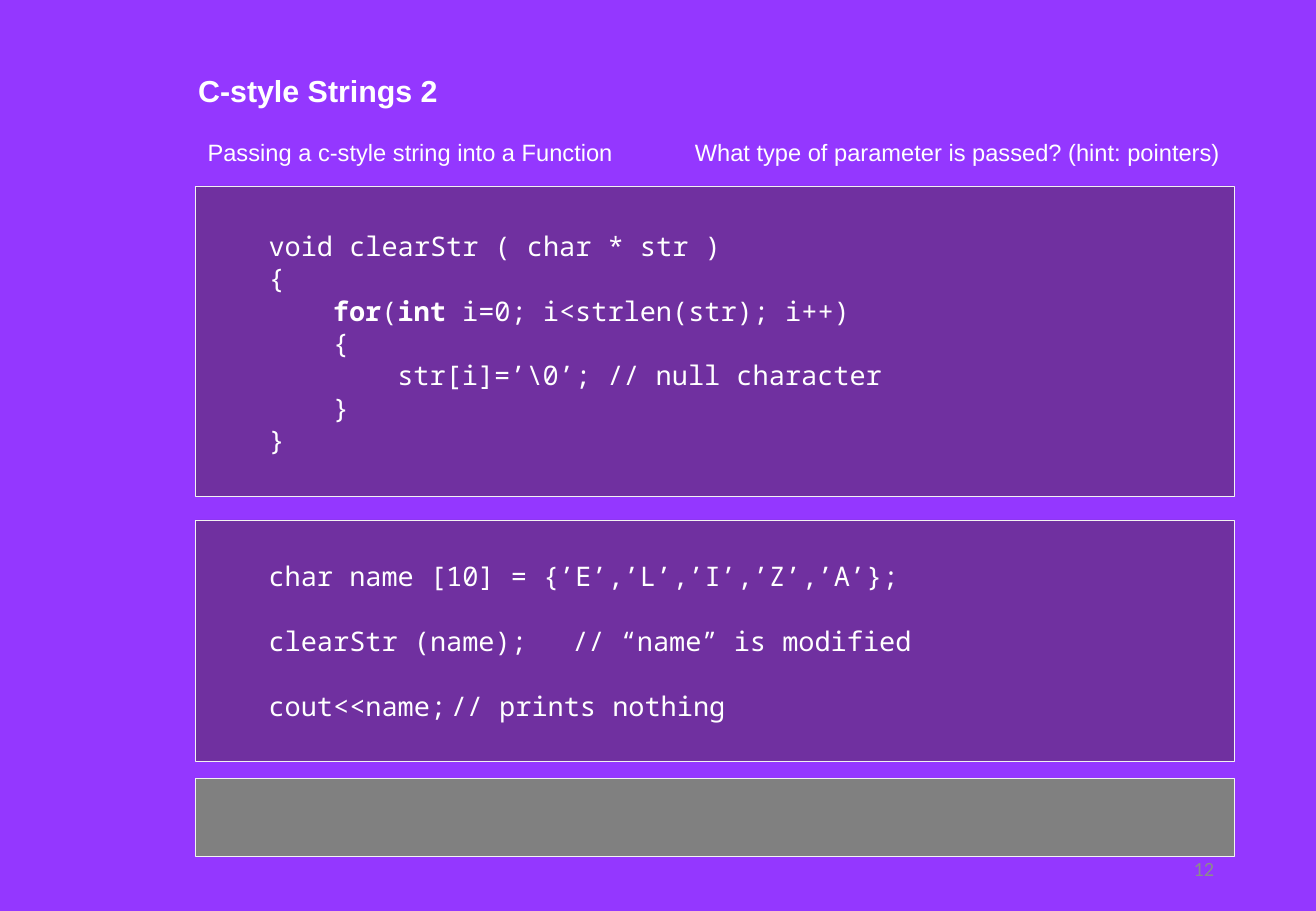
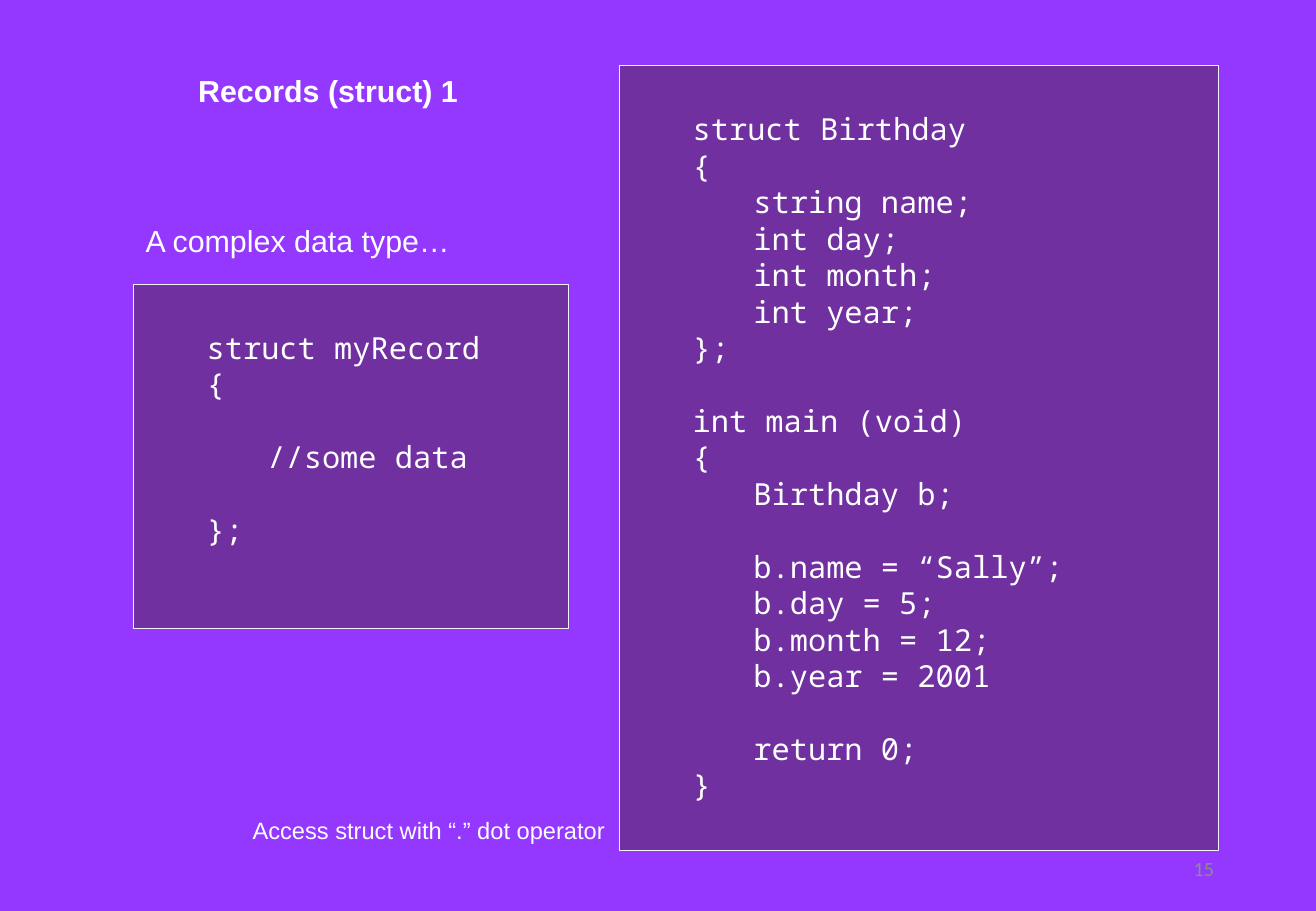
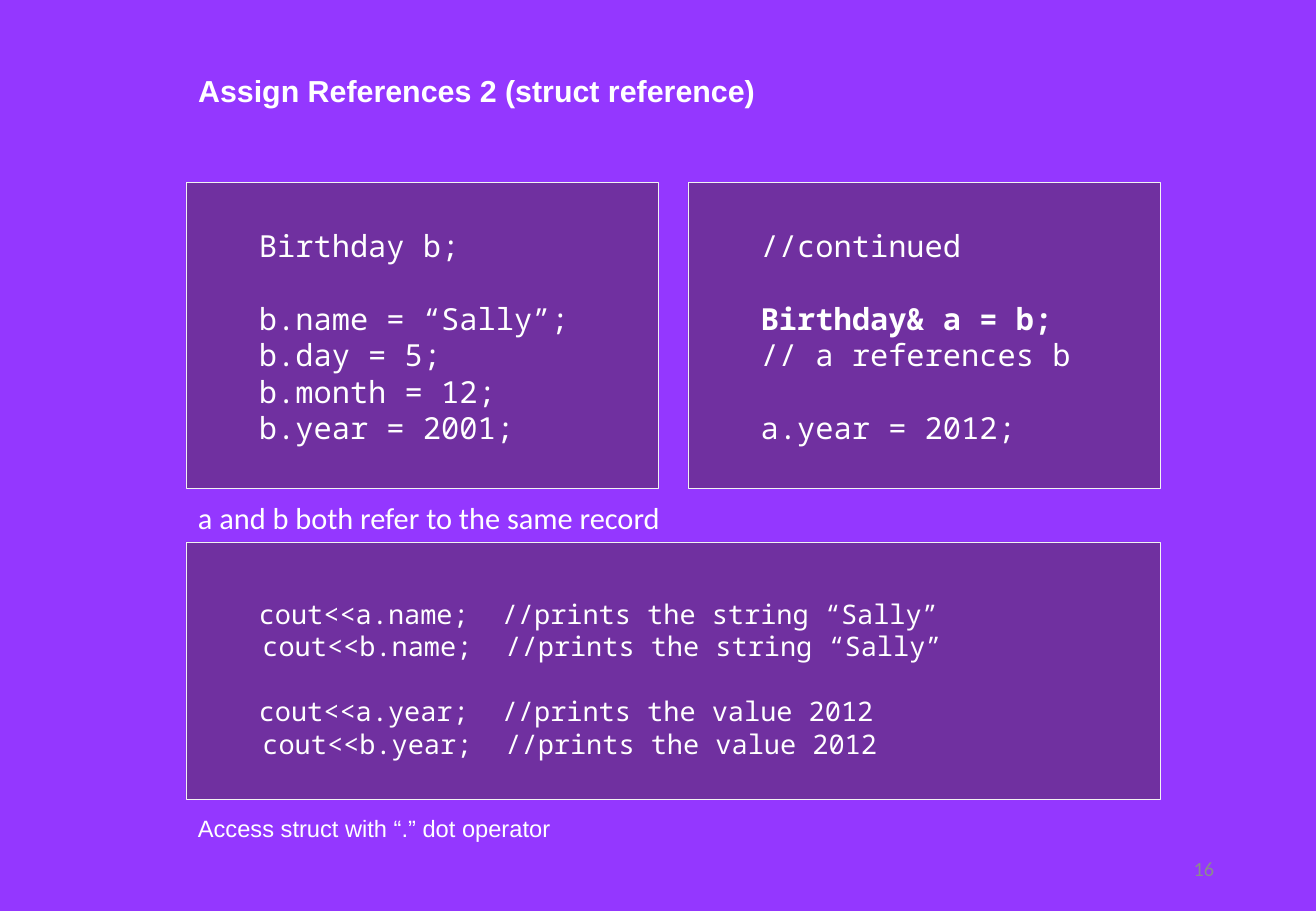
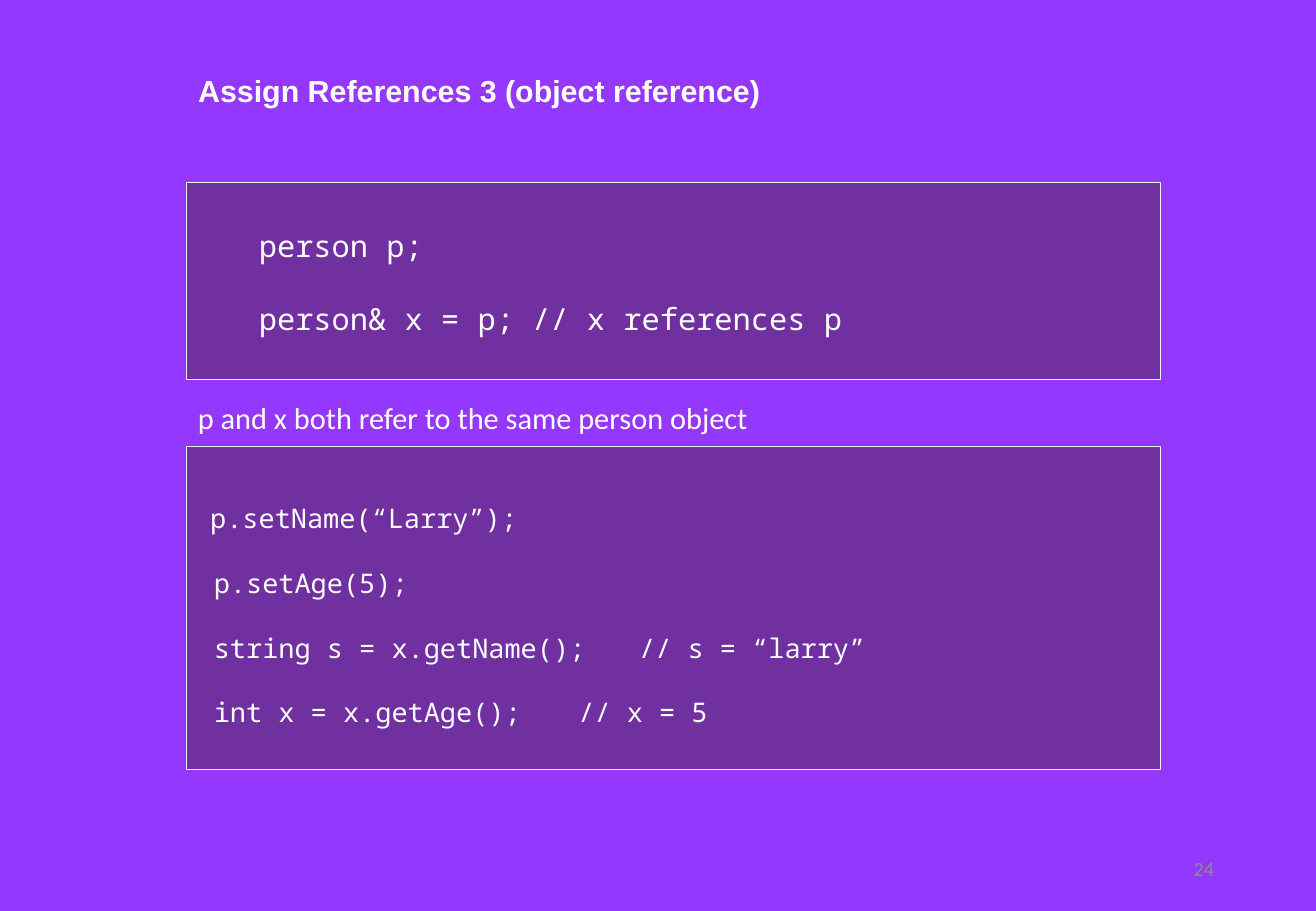
import dataclasses

import pptx
import pptx.dml.color
import pptx.enum.shapes
import pptx.enum.text
import pptx.oxml
import pptx.oxml.ns
import pptx.util


@dataclasses.dataclass(frozen=True)
class Theme:
    background: str = "9437FF"
    panel: str = "7030A0"
    bar: str = "808080"
    outline: str = "F2F2F2"
    text: str = "FFFFFF"
    number: str = "8C8C8C"
    sans: str = "Arial"
    plain: str = "Calibri"
    code: str = "Noto Sans Mono"
    large: int = 18
    medium: int = 16
    small: int = 14
    tiny: int = 12
    outline_width: float = 0.25
    code_leading: float = 1.2


theme = Theme()
color = pptx.dml.color.RGBColor.from_string
align = pptx.enum.text.PP_ALIGN
anchor = pptx.enum.text.MSO_ANCHOR

deck = pptx.Presentation()
deck.slide_width = pptx.util.Inches(10.83)
deck.slide_height = pptx.util.Inches(7.5)


def place(left, top, width, height):
    across, down = deck.slide_width / 100, deck.slide_height / 100
    return [round(share) for share in (left * across, top * down, width * across, height * down)]


def write(para, text, font, size, tint=theme.text, bold=False, alignment=align.LEFT):
    para.alignment = alignment
    for index, piece in enumerate(text.split("**")):
        if piece:
            span = para.add_run()
            span.text = piece
            span.font.name = font
            span.font.size = pptx.util.Pt(size)
            span.font.bold = bold or index % 2 == 1
            span.font.color.rgb = color(tint)


EDGE, WIDE = 14.13, 74.05
GAP = 2.21
HALF = (WIDE - GAP) / 2
INNER, INNER_WIDE = 14.87, 78.95
TITLE_ROW, PANEL_ROW = 7.2, 20
LINE = 5.33
CAPTION_WIDE = 52

deck.slide_master.background.fill.solid()
deck.slide_master.background.fill.fore_color.rgb = color(theme.background)
layout = deck.slide_layouts[5]
heading = layout.placeholders[0]
heading.left, heading.top, heading.width, heading.height = place(EDGE, TITLE_ROW, 60, LINE)
heading.text_frame.auto_size = pptx.enum.text.MSO_AUTO_SIZE.NONE
heading.text_frame.vertical_anchor = anchor.TOP

birthday = [
    (0, "b.name = “Sally”;"),
    (0, "b.day = 5;"),
    (0, "b.month = 12;"),
]
dot_operator = "Access struct with “.” dot operator"

# Panel: place, type size, insets (left, top), indent step, tab stop, lines.
# Line: blank lines before it, indent level, text.
pages = [
    dict(
        title="C-style Strings 2",
        number="12",
        captions=[
            (INNER, 14.53, theme.sans, theme.small, "Passing a c-style string into a Function"),
            (51.89, 14.53, theme.sans, theme.small, "What type of parameter is passed? (hint: pointers)"),
        ],
        panels=[
            ((INNER, 20.4, INNER_WIDE, 34.13), theme.medium, (0.6, 0.36), 0.53, None, [
                (0, 0, "void clearStr ( char * str )"),
                (0, 0, "{"),
                (0, 1, "**for**(**int **i=0; i<strlen(str); i++)"),
                (0, 1, "{"),
                (0, 2, "str[i]=’\\0’; // null character"),
                (0, 1, "}"),
                (0, 0, "}"),
            ]),
            ((INNER, 57.07, INNER_WIDE, 26.53), theme.medium, (0.6, 0.33), 0, 3, [
                (0, 0, "char name [10] = {’E’,’L’,’I’,’Z’,’A’};"),
                (1, 0, "clearStr (name);\t// “name” is modified"),
                (1, 0, "cout<<name;\t// prints nothing"),
            ]),
            ((INNER, 85.47, INNER_WIDE, 8.53), theme.medium, (0.1, 0.05), 0, None, []),
        ],
    ),
    dict(
        title="Records (struct) 1",
        number="15",
        captions=[
            (10.16, 23.73, theme.sans, theme.large, "A complex data type…"),
            (18.28, 88.93, theme.sans, theme.small, dot_operator),
        ],
        panels=[
            ((47.09, TITLE_ROW, 45.52, 86.13), theme.large, (0.6, 0.37), 0.5, None, [
                (0, 0, "struct Birthday"),
                (0, 0, "{"),
                (0, 1, "string name;"),
                (0, 1, "int day;"),
                (0, 1, "int month;"),
                (0, 1, "int year;"),
                (0, 0, "};"),
                (1, 0, "int main (void)"),
                (0, 0, "{"),
                (0, 1, "Birthday b;"),
                (1, 1, birthday[0][1]),
                *[(blank, 1, text) for blank, text in birthday[1:]],
                (0, 1, "b.year = 2001"),
                (1, 1, "return 0;"),
                (0, 0, "}"),
            ]),
            ((10.16, 31.2, 33.06, 37.73), theme.large, (0.6, 0.37), 0.5, None, [
                (0, 0, "struct myRecord"),
                (0, 0, "{"),
                (1, 1, "//some data"),
                (1, 0, "};"),
            ]),
        ],
    ),
    dict(
        title="Assign References 2 (struct reference)",
        number="16",
        captions=[
            (EDGE, 54.13, theme.plain, theme.large, "a and b both refer to the same record"),
            (EDGE, 88.67, theme.sans, theme.small, dot_operator),
        ],
        panels=[
            ((EDGE, PANEL_ROW, HALF, 33.6), theme.large, (0.6, 0.37), 0, None, [
                (0, 0, "Birthday b;"),
                (1, 0, birthday[0][1]),
                *[(blank, 0, text) for blank, text in birthday[1:]],
                (0, 0, "b.year = 2001;"),
            ]),
            ((EDGE + HALF + GAP, PANEL_ROW, HALF, 33.6), theme.large, (0.6, 0.37), 0, None, [
                (0, 0, "//continued"),
                (1, 0, "**Birthday& a = b;**"),
                (0, 0, "// a references b"),
                (1, 0, "a.year = 2012;"),
            ]),
            ((EDGE, 59.47, WIDE, 28.27), theme.medium, (0.6, 0.46), 0.03, 2.26, [
                (0, 0, "cout<<a.name;\t//prints the string “Sally”"),
                (0, 1, "cout<<b.name;\t//prints the string “Sally”"),
                (1, 0, "cout<<a.year;\t//prints the value 2012"),
                (0, 1, "cout<<b.year;\t//prints the value 2012"),
            ]),
        ],
    ),
    dict(
        title="Assign References 3 (object reference)",
        number="24",
        captions=[
            (EDGE, 43.2, theme.plain, theme.large, "p and x both refer to the same person object"),
        ],
        panels=[
            ((EDGE, PANEL_ROW, WIDE, 21.6), theme.large, (0.6, 0.37), 0, None, [
                (0, 0, "person p;"),
                (1, 0, "person& x = p; // x references p"),
            ]),
            ((EDGE, 48.93, WIDE, 35.47), theme.medium, (0.2, 0.46), 0.03, 3.4, [
                (0, 0, "p.setName(“Larry”);"),
                (1, 1, "p.setAge(5);"),
                (1, 1, "string s = x.getName();\t// s = “larry”"),
                (1, 1, "int x = x.getAge();\t// x = 5"),
            ]),
        ],
    ),
]

for content in pages:
    page = deck.slides.add_slide(layout)
    write(page.shapes.title.text_frame.paragraphs[0], content["title"], theme.sans, theme.large, bold=True)

    for area, size, (inset_left, inset_top), step, stop, lines in content["panels"]:
        panel = page.shapes.add_shape(pptx.enum.shapes.MSO_SHAPE.RECTANGLE, *place(*area))
        panel.shadow.inherit = False
        panel.fill.solid()
        panel.fill.fore_color.rgb = color(theme.panel if lines else theme.bar)
        panel.line.color.rgb = color(theme.outline)
        panel.line.width = pptx.util.Pt(theme.outline_width)
        frame = panel.text_frame
        frame.word_wrap = True
        frame.vertical_anchor = anchor.TOP
        frame.margin_left = pptx.util.Inches(inset_left)
        frame.margin_top = pptx.util.Inches(inset_top)
        leading = size * theme.code_leading
        for index, (blank, level, text) in enumerate(lines):
            para = frame.add_paragraph() if index else frame.paragraphs[0]
            write(para, text, theme.code, size)
            para.line_spacing = pptx.util.Pt(leading)
            para.space_before = pptx.util.Pt(blank * leading)
            properties = para._p.get_or_add_pPr()
            properties.set("marL", str(pptx.util.Inches(level * step)))
            properties.set("indent", "0")
            if stop and "\t" in text:
                properties.append(pptx.oxml.parse_xml(
                    f'<a:tabLst {pptx.oxml.ns.nsdecls("a")}>'
                    f'<a:tab pos="{pptx.util.Inches(stop)}" algn="l"/></a:tabLst>'
                ))

    for left, top, font, size, text in content["captions"]:
        box = page.shapes.add_textbox(*place(left, top, min(CAPTION_WIDE, 100 - left), LINE))
        box.text_frame.word_wrap = True
        write(box.text_frame.paragraphs[0], text, font, size)

    box = page.shapes.add_textbox(*place(70.64, 92.67, 22.53, LINE))
    box.text_frame.word_wrap = True
    box.text_frame.vertical_anchor = anchor.MIDDLE
    write(box.text_frame.paragraphs[0], content["number"], theme.plain, theme.tiny, theme.number, alignment=align.RIGHT)

deck.save("out.pptx")
